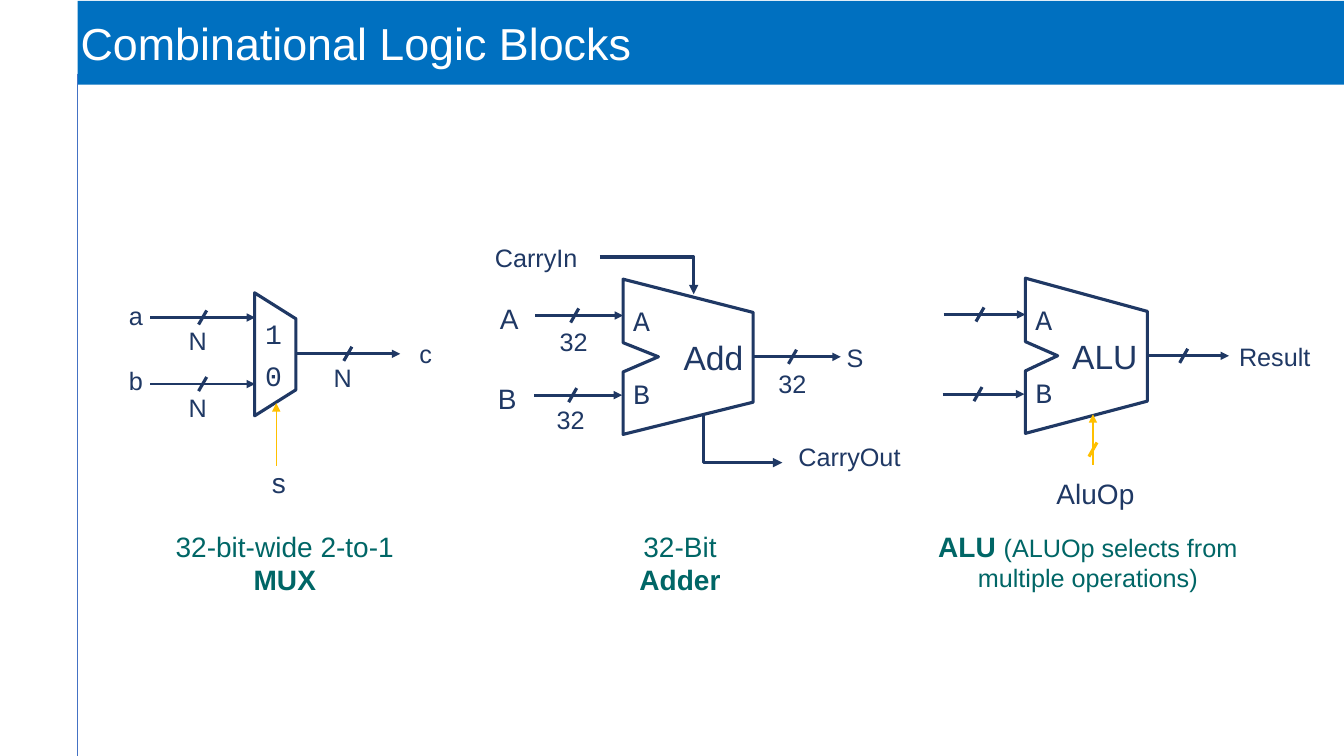
from lxml import etree
from pptx import Presentation
from pptx.dml.color import RGBColor
from pptx.enum.shapes import MSO_CONNECTOR, MSO_SHAPE
from pptx.enum.text import MSO_ANCHOR, PP_ALIGN
from pptx.oxml.ns import qn
from pptx.util import Emu, Pt

PX = 9144  # 100 px to the inch
STRAIGHT, ELBOW = MSO_CONNECTOR.STRAIGHT, MSO_CONNECTOR.ELBOW
RECTANGLE, TRAPEZOID = MSO_SHAPE.RECTANGLE, MSO_SHAPE.TRAPEZOID
TOP, MIDDLE = MSO_ANCHOR.TOP, MSO_ANCHOR.MIDDLE
LEFT, CENTER, RIGHT = PP_ALIGN.LEFT, PP_ALIGN.CENTER, PP_ALIGN.RIGHT
SANS, MONO = "Arial", "Courier New"
COLORS = {"bar": "0070C0", "white": "FFFFFF", "margin": "4472C4",
          "navy": "1F3864", "gold": "FFC000", "teal": "006666"}

TITLE = "Combinational Logic Blocks"
# left, top, width, height, spans of (text, size, bold)
CAPTIONS = [
    (135, 520, 295, 77, [("32-bit-wide 2-to-1 ", 20, False), ("MUX", 20, True)]),
    (591, 520, 167, 77, [("32-Bit ", 20, False), ("Adder", 20, True)]),
    (911, 520, 336, 74, [("ALU ", 20, True),
                         ("(ALUOp selects from multiple operations)", 18, False)]),
]
# text, left, top, width, height, size
SIGNALS = [
    ("a", 118, 293, 39, 40, 18), ("b", 118, 358, 39, 40, 18),
    ("c", 406, 331, 39, 40, 18), ("Result", 1219, 334, 102, 40, 18),
    ("CarryIn", 481, 236, 117, 40, 18), ("CarryOut", 782, 433, 140, 40, 18),
    ("S", 830, 335, 40, 40, 18),
    ("A", 486, 294, 46, 44, 20), ("B", 484, 374, 44, 44, 20),
]
CONTROLS = [("s", 205, 462, 143, 40), ("AluOp", 1004, 473, 165, 40)]
# text, left, top, width
BUS_WIDTHS = [("N", 181, 320, 29), ("N", 181, 386, 29), ("N", 325, 356, 29),
              ("32", 549, 321, 49), ("32", 546, 398, 49), ("32", 766, 362, 49)]
# start x, end x, y, slash centre x
BUSES = [
    (149, 253, 315, 201), (149, 253, 381, 201), (293, 397, 351, 345),
    (531, 618, 313, 570), (530, 617, 392, 568), (747, 834, 354, 786),
    (936, 1017, 312, 972), (935, 1016, 391, 970), (1138, 1219, 353, 1174),
]
# x, start y, end y
SELECTS = [(274, 462, 400), (1084, 461, 411)]
# name, left, top, width, notch depth
UNITS = [("Add", 618, 277, 129, 35), ("ALU", 1017, 276, 121, 32)]


def color(name):
    return RGBColor.from_string(COLORS[name])


def set_text(shape, paragraphs, tint, insets=(10, 5), anchor=TOP):
    """Each paragraph is (spans, font, alignment); a span is (text, size, bold)."""
    frame = shape.text_frame
    frame.word_wrap = True
    frame.vertical_anchor = anchor
    frame.margin_left = frame.margin_right = Emu(insets[0] * PX)
    frame.margin_top = frame.margin_bottom = Emu(insets[1] * PX)
    for index, (spans, font, alignment) in enumerate(paragraphs):
        para = frame.add_paragraph() if index else frame.paragraphs[0]
        para.alignment = alignment
        para.font.name = font
        para.font.color.rgb = color(tint)
        para.font.size = Pt(spans[0][1])
        for text, size, bold in spans:
            span = para.add_run()
            span.text = text
            span.font.size = Pt(size)
            span.font.bold = bold
    return frame


def add_box(page, left, top, width, height):
    return page.shapes.add_textbox(*(Emu(v * PX) for v in (left, top, width, height)))


def add_label(page, text, left, top, width, height, size, alignment=LEFT, insets=(10, 5)):
    box = add_box(page, left, top, width, height)
    return set_text(box, [([(text, size, False)], SANS, alignment)], "navy", insets)


def add_line(page, start, end, tint="navy", weight=2.25, arrow=None, kind=STRAIGHT):
    """arrow is "tailEnd" for a head at the end, "headEnd" for one at the start."""
    line = page.shapes.add_connector(kind, *(Emu(v * PX) for v in start + end))
    line.line.color.rgb = color(tint)
    line.line.width = Pt(weight)
    properties = line._element.spPr
    if kind == ELBOW:
        properties.find(qn("a:prstGeom")).set("prst", "bentConnector2")
    if arrow:
        etree.SubElement(line.line._get_or_add_ln(), qn("a:" + arrow), type="triangle")
    etree.SubElement(properties, qn("a:effectLst"))


def add_slash(page, x, y, tint="navy"):
    add_line(page, (x + 4, y - 7), (x - 4, y + 7), tint)


def outline(shape):
    shape.shadow.inherit = False
    shape.fill.background()
    shape.line.color.rgb = color("navy")
    shape.line.width = Pt(2.25)


def add_unit(page, name, left, top, width, notch):
    """Arithmetic block: tapered to the right, notched on the left."""
    right = left + width
    corners = [(left, top + 63), (left + notch, top + 77), (left, top + 92),
               (left, top + 154), (right, top + 122), (right, top + 33)]
    builder = page.shapes.build_freeform(left, top, scale=PX)
    builder.add_line_segments(corners, close=True)
    unit = builder.convert_to_shape()
    outline(unit)
    set_text(unit, [([("A", 20, False)], MONO, LEFT), ([(name, 24, False)], SANS, RIGHT),
                    ([("B", 20, False)], MONO, LEFT)], "navy", anchor=MIDDLE)


def add_mux(page):
    mux = page.shapes.add_shape(TRAPEZOID, *(Emu(v * PX) for v in (212, 331, 122, 41)))
    mux.rotation = 90
    mux.adjustments[0] = 0.63
    outline(mux)
    choices = add_box(page, 253, 307, 35, 88)
    frame = set_text(choices, [([(digit, 20, False)], MONO, CENTER) for digit in "10"],
                     "navy", anchor=MIDDLE)
    frame.paragraphs[1].space_before = Pt(6)


def add_title(page):
    bar = page.shapes.add_shape(RECTANGLE, *(Emu(v * PX) for v in (77, 1, 1256, 83)))
    bar.shadow.inherit = False
    bar.fill.solid()
    bar.fill.fore_color.rgb = color("bar")
    bar.line.fill.background()
    set_text(bar, [([(TITLE, 32, False)], SANS, LEFT)], "white", (3, 3), MIDDLE)
    add_line(page, (77, 73), (77, 750), "margin", 0.75)


def main():
    deck = Presentation()
    deck.slide_width, deck.slide_height = Emu(1333 * PX), Emu(750 * PX)
    page = deck.slides.add_slide(deck.slide_layouts[6])
    add_title(page)
    add_mux(page)
    for unit in UNITS:
        add_unit(page, *unit)
    for start, end, y, slash in BUSES:
        add_line(page, (start, y), (end, y), weight=2, arrow="tailEnd")
        add_slash(page, slash, y)
    for x, start, end in SELECTS:
        add_line(page, (x, start), (x, end), "gold", 1, "tailEnd")
    add_slash(page, 1084, 446, "gold")
    add_line(page, (595, 255), (688, 292), arrow="tailEnd", kind=ELBOW)  # carry in
    add_line(page, (776, 459), (698, 411), arrow="headEnd", kind=ELBOW)  # carry out
    for signal in SIGNALS:
        add_label(page, *signal)
    for control in CONTROLS:
        add_label(page, *control, 20, CENTER).paragraphs[0].line_spacing = 0.85
    for text, left, top, width in BUS_WIDTHS:
        add_label(page, text, left, top, width, 36, 18, insets=(6, 3))
    for *place, spans in CAPTIONS:
        set_text(add_box(page, *place), [(spans, SANS, CENTER)], "teal")
    deck.save("out.pptx")


if __name__ == "__main__":
    main()
